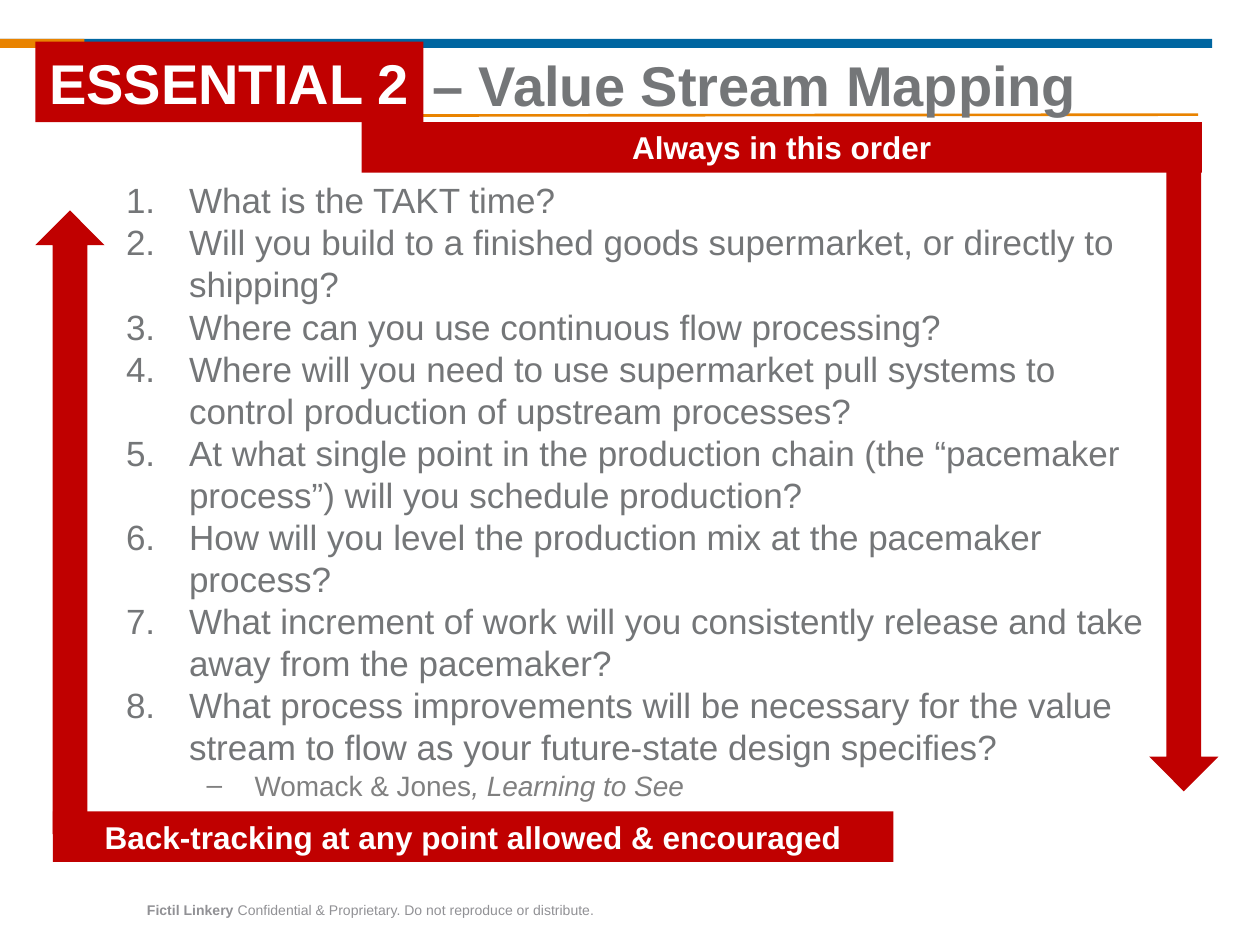
from dataclasses import dataclass

from lxml import etree
from pptx import Presentation
from pptx.dml.color import RGBColor
from pptx.enum import shapes, text
from pptx.oxml import ns
from pptx.util import Inches, Pt

COLORS = {"blue": "0066A1", "orange": "E98300", "red": "C00000", "white": "FFFFFF",
          "title": "747678", "source": "808080", "footer": "919195"}
FONT = "Arial"
RECT = shapes.MSO_SHAPE.RECTANGLE
DOWN = shapes.MSO_SHAPE.DOWN_ARROW

QUESTIONS = [
    "What is the TAKT time?",
    "Will you build to a finished goods supermarket, or directly to shipping?",
    "Where can you use continuous flow processing?",
    "Where will you need to use supermarket pull systems to control production of upstream processes?",
    "At what single point in the production chain (the “pacemaker process”) will you schedule production?",
    "How will you level the production mix at the pacemaker process?",
    "What increment of work will you consistently release and take away from the pacemaker?",
    "What process improvements will be necessary for the value stream to flow "
    "as your future-state design specifies?",
]


@dataclass
class Block:
    kind: int
    box: tuple
    color: str = "red"
    label: str = ""
    size: int = 18
    rotation: int = 0


BRAND_BARS = [Block(RECT, (0, 0.31, 9.62, 0.07), "blue"),
              Block(RECT, (0, 0.31, 0.67, 0.07), "orange")]
ORDER_ARROWS = [
    Block(RECT, (2.87, 0.97, 6.67, 0.4), label="Always in this order"),
    Block(DOWN, (9.12, 1.33, 0.55, 4.95)),
    Block(RECT, (0.42, 6.44, 6.67, 0.4), label="Back-tracking at any point allowed & encouraged"),
    Block(DOWN, (0.28, 1.67, 0.55, 4.95), rotation=180),
]
ESSENTIAL = Block(RECT, (0.28, 0.33, 3.08, 0.64), label="ESSENTIAL 2", size=32)


def rgb(name: str) -> RGBColor:
    return RGBColor.from_string(COLORS[name])


def add_run(p, words: str, size: int, color: str, **fmt) -> None:
    r = p.add_run()
    r.text = words
    for key, value in {"name": FONT, "size": Pt(size), "bold": False, **fmt}.items():
        setattr(r.font, key, value)
    r.font.color.rgb = rgb(color)


def add_block(parent, block: Block) -> None:
    sp = parent.add_shape(block.kind, *map(Inches, block.box))
    sp.shadow.inherit = False
    sp.rotation = block.rotation
    sp.fill.solid()
    sp.fill.fore_color.rgb = rgb(block.color)
    sp.line.fill.background()
    if block.label:
        tf = sp.text_frame
        tf.word_wrap = False
        tf.vertical_anchor = text.MSO_ANCHOR.MIDDLE
        p = tf.paragraphs[0]
        p.alignment = text.PP_ALIGN.CENTER
        add_run(p, block.label, block.size, "white", bold=True)


def place(sp, box: tuple, margin: tuple):
    """Move a placeholder in front of everything drawn so far and set up its frame."""
    sp.left, sp.top, sp.width, sp.height = map(Inches, box)
    sp.element.getparent().append(sp.element)
    tf = sp.text_frame
    x, y = map(Inches, margin)
    frame = {"margin_left": x, "margin_right": x, "margin_top": y, "margin_bottom": y,
             "word_wrap": True, "auto_size": text.MSO_AUTO_SIZE.NONE,
             "vertical_anchor": text.MSO_ANCHOR.TOP}
    for key, value in frame.items():
        setattr(tf, key, value)
    return tf


def format_paragraph(p, spacing, left: float, hanging: float = 0, bullet=None) -> None:
    """Set spacing and indents; bullet is (tag, attribute, value)."""
    fmt = {"alignment": text.PP_ALIGN.LEFT, "line_spacing": spacing,
           "space_before": Pt(0), "space_after": Pt(0)}
    for key, value in fmt.items():
        setattr(p, key, value)
    pPr = p._p.get_or_add_pPr()
    pPr.set("marL", str(Inches(left)))
    pPr.set("indent", str(Inches(-hanging)))
    if bullet:
        tag, attribute, value = bullet
        etree.SubElement(pPr, ns.qn("a:buFont")).set("typeface", FONT)
        etree.SubElement(pPr, ns.qn(tag)).set(attribute, value)


def add_frame(s) -> None:
    """Brand bars, title rule and footer."""
    for bar in BRAND_BARS:
        add_block(s.shapes, bar)
    rule = s.shapes.add_connector(shapes.MSO_CONNECTOR.STRAIGHT,
                                  *map(Inches, (0.61, 0.92, 9.51, 0.91)))
    rule.line.color.rgb = rgb("orange")
    rule.line.width = Pt(1.5)
    etree.SubElement(rule.element.spPr, ns.qn("a:effectLst"))
    footer = s.shapes.add_textbox(*map(Inches, (0.86, 7.11, 3.96, 0.24)))
    footer.text_frame.word_wrap = False
    p = footer.text_frame.paragraphs[0]
    p.alignment = text.PP_ALIGN.RIGHT
    add_run(p, "Fictil Linkery", 8, "footer", bold=True)
    add_run(p, " Confidential & Proprietary. Do not reproduce or distribute.", 8, "footer")


def fill_title(sp) -> None:
    p = place(sp, (0.58, 0.41, 8.95, 1.09), (0.1, 0.05)).paragraphs[0]
    format_paragraph(p, 0.9, 2.75)
    add_run(p, "– Value Stream Mapping", 32, "title", bold=True)


def fill_questions(sp) -> None:
    tf = place(sp, (1, 1.42, 8.25, 5.02), (0, 0))
    for i, question in enumerate(QUESTIONS):
        p = tf.add_paragraph() if i else tf.paragraphs[0]
        p.level = 1
        format_paragraph(p, Pt(24), 0.5, 0.5, ("a:buAutoNum", "type", "arabicPeriod"))
        add_run(p, question, 20, "title")
    p = tf.add_paragraph()
    p.level = 3
    format_paragraph(p, Pt(20), 1.02, 0.38, ("a:buChar", "char", "–"))
    add_run(p, "Womack & Jones", 16, "source")
    add_run(p, ", Learning to See", 16, "source", italic=True)


def main() -> None:
    prs = Presentation()
    prs.slide_width, prs.slide_height = Inches(10), Inches(7.5)
    s = prs.slides.add_slide(prs.slide_layouts[1])
    add_frame(s)
    fill_title(s.shapes.title)
    fill_questions(s.placeholders[1])
    arrows = s.shapes.add_group_shape()
    for block in ORDER_ARROWS:
        add_block(arrows.shapes, block)
    add_block(s.shapes, ESSENTIAL)
    prs.save("out.pptx")


if __name__ == "__main__":
    main()
